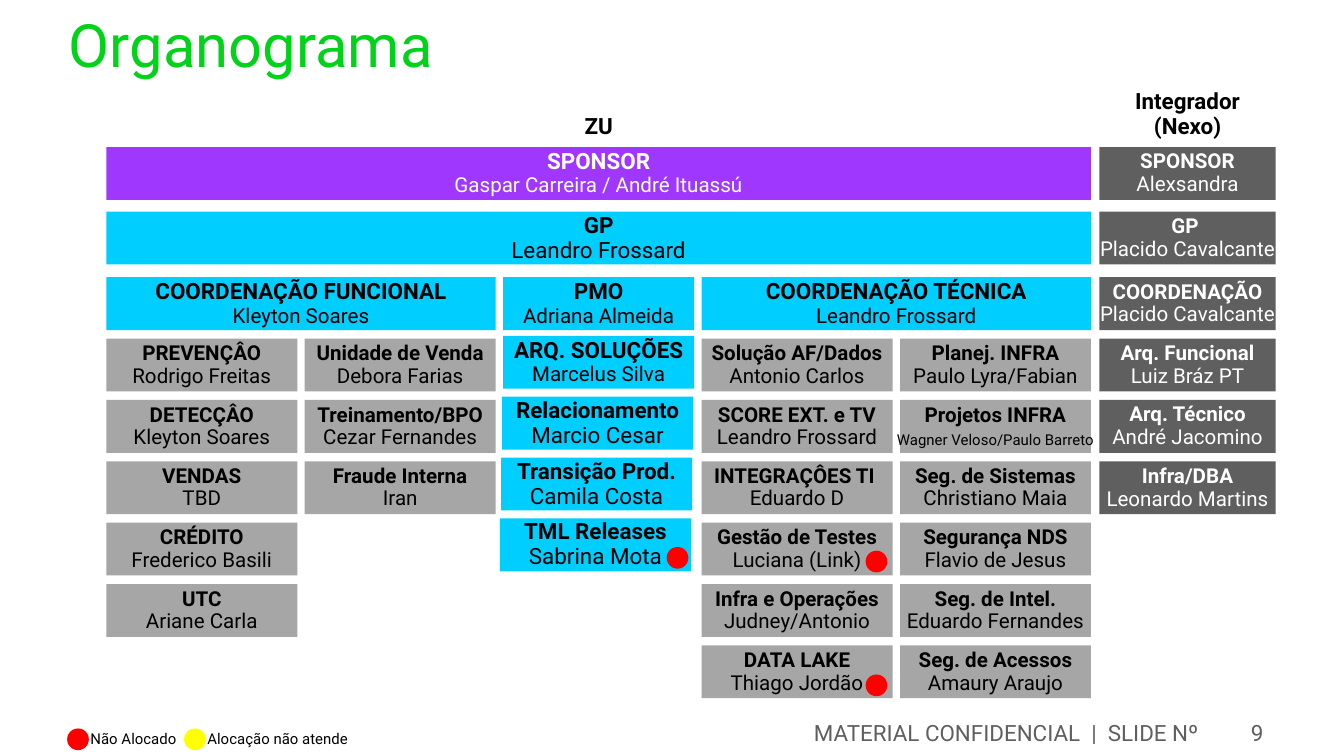
from pptx import Presentation
from pptx import util as u
from pptx.dml.color import RGBColor
from pptx.enum import shapes, text

BLACK, WHITE = "000000", "FFFFFF"
PURPLE, CYAN, GREY, DARK = "9F37FE", "00CEFF", "A6A6A6", "5F5F5F"
GREEN, RED, YELLOW = "00D318", "FF0000", "FFFF00"

LEFT, COLUMN_STEP = 2.01, 3.75
BOX_WIDTH, BOX_HEIGHT = 3.61, 1.0
PARTNER_LEFT, PARTNER_WIDTH = 20.78, 3.33
SPONSOR_TOP, MANAGER_TOP, COORDINATION_TOP = 2.78, 4.0, 5.24
TEAM_TOP, TEAM_STEP = 6.4, 1.16
OFFICE_TOP, OFFICE_STEP = 6.35, 1.15
DOT = 0.41


def color(value):
    return RGBColor.from_string(value)


def column_left(column):
    return LEFT + column * COLUMN_STEP


def span_width(columns):
    return (columns - 1) * COLUMN_STEP + BOX_WIDTH


class Chart:
    """Style and drawing methods for the organisation chart."""

    font = "Roboto"
    tight = 0.93

    def __init__(self, page):
        self.page = page

    def area(self, left, top, width, height):
        return [u.Cm(value) for value in (left, top, width, height)]

    def frame(self, box, margin_x, margin_y, anchor=text.MSO_ANCHOR.MIDDLE, wrap=False):
        frame = box.text_frame
        frame.word_wrap = wrap
        frame.vertical_anchor = anchor
        frame.margin_left = frame.margin_right = u.Cm(margin_x)
        frame.margin_top = frame.margin_bottom = u.Cm(margin_y)
        return frame

    def add_words(self, para, words, size, ink, bold=False,
                  align=text.PP_ALIGN.CENTER, spacing=None):
        para.alignment = align
        para.line_spacing = spacing
        span = para.add_run()
        span.text = words
        span.font.name = self.font
        span.font.size = u.Pt(size)
        span.font.bold = bold
        span.font.color.rgb = color(ink)

    def title(self, words):
        box = self.page.shapes.title
        box.left, box.top, box.width, box.height = self.area(1.3, 0.15, 22.8, 1.98)
        frame = self.frame(box, 0, 0, text.MSO_ANCHOR.TOP, wrap=True)
        self.add_words(frame.paragraphs[0], words, 32, GREEN, align=text.PP_ALIGN.LEFT)

    def heading(self, words, left, width):
        box = self.page.shapes.add_textbox(*self.area(left, 1.96, width, 0.81))
        frame = self.frame(box, 0.1, 0.13, text.MSO_ANCHOR.BOTTOM)
        self.add_words(frame.paragraphs[0], words, 12, BLACK, True, spacing=self.tight)

    def footer(self, words, left, width):
        box = self.page.shapes.add_textbox(*self.area(left, 13.54, width, 0.61))
        frame = self.frame(box, 0.25, 0.13, wrap=True)
        self.add_words(frame.paragraphs[0], words, 12, DARK, align=text.PP_ALIGN.RIGHT)

    def shape(self, kind, area, fill):
        shape = self.page.shapes.add_shape(kind, *self.area(*area))
        shape.shadow.inherit = False
        shape.fill.solid()
        shape.fill.fore_color.rgb = color(fill)
        shape.line.fill.background()
        return shape

    def role(self, role, person, left, top, width, fill, ink, sizes,
             margin_y=0.13, spacing=tight):
        """Box with a bold role above the person's name."""
        box = self.shape(shapes.MSO_SHAPE.RECTANGLE, (left, top, width, BOX_HEIGHT), fill)
        frame = self.frame(box, 0.1, margin_y)
        self.add_words(frame.paragraphs[0], role, sizes[0], ink, True, spacing=spacing)
        self.add_words(frame.add_paragraph(), person, sizes[1], ink, spacing=spacing)

    def member(self, role, person, column, row):
        size = 8 if len(person) > 20 else 11
        self.role(role, person, column_left(column), TEAM_TOP + row * TEAM_STEP,
                  BOX_WIDTH, GREY, BLACK, (11, size), 0, u.Pt(12))

    def dot(self, left, top, fill):
        self.shape(shapes.MSO_SHAPE.OVAL, (left, top, DOT, DOT), fill)

    def legend(self, words, left, fill):
        self.dot(left, 13.77, fill)
        box = self.page.shapes.add_textbox(*self.area(left + 0.34, 13.68, 3, 0.6))
        frame = self.frame(box, 0.1, 0)
        self.add_words(frame.paragraphs[0], words, 8, BLACK,
                       align=text.PP_ALIGN.LEFT, spacing=self.tight)


LEADERS = [  # role, person, first column, columns, top, fill, ink, name size
    ("SPONSOR", "Gaspar Carreira / André Ituassú", 0, 5, SPONSOR_TOP, PURPLE, WHITE, 11),
    ("GP", "Leandro Frossard", 0, 5, MANAGER_TOP, CYAN, BLACK, 12),
    ("COORDENAÇÃO FUNCIONAL", "Kleyton Soares", 0, 2, COORDINATION_TOP, CYAN, BLACK, 11),
    ("PMO", "Adriana Almeida", 2, 1, COORDINATION_TOP, CYAN, BLACK, 11),
    ("COORDENAÇÃO TÉCNICA", "Leandro Frossard", 3, 2, COORDINATION_TOP, CYAN, BLACK, 11),
]
OFFICE = [
    ("ARQ. SOLUÇÕES", "Marcelus Silva", 11),
    ("Relacionamento", "Marcio Cesar", 12),
    ("Transição Prod.", "Camila Costa", 12),
    ("TML Releases", "Sabrina Mota", 12),
]
TEAMS = {
    0: [("PREVENÇÂO", "Rodrigo Freitas"), ("DETECÇÂO", "Kleyton Soares"),
        ("VENDAS", "TBD"), ("CRÉDITO", "Frederico Basili"), ("UTC", "Ariane Carla")],
    1: [("Unidade de Venda", "Debora Farias"), ("Treinamento/BPO", "Cezar Fernandes"),
        ("Fraude Interna", "Iran")],
    3: [("Solução AF/Dados", "Antonio Carlos"), ("SCORE EXT. e TV", "Leandro Frossard"),
        ("INTEGRAÇÔES TI ", "Eduardo D"), ("Gestão de Testes", "Luciana (Link)"),
        ("Infra e Operações", "Judney/Antonio"), ("DATA LAKE", "Thiago Jordão")],
    4: [("Planej. INFRA", "Paulo Lyra/Fabian"),
        ("Projetos INFRA", "Wagner Veloso/Paulo Barreto"),
        ("Seg. de Sistemas", "Christiano Maia"), ("Segurança NDS", "Flavio de Jesus"),
        ("Seg. de Intel.", "Eduardo Fernandes"), ("Seg. de Acessos", "Amaury Araujo")],
}
PARTNER = [
    ("SPONSOR", "Alexsandra", SPONSOR_TOP),
    ("GP ", "Placido Cavalcante", MANAGER_TOP),
    ("COORDENAÇÃO", "Placido Cavalcante", COORDINATION_TOP),
    ("Arq. Funcional", "Luiz Bráz PT", TEAM_TOP),
    ("Arq. Técnico", "André Jacomino", TEAM_TOP + TEAM_STEP),
    ("Infra/DBA", "Leonardo Martins", TEAM_TOP + 2 * TEAM_STEP),
]


def main():
    deck = Presentation()
    deck.slide_width, deck.slide_height = u.Cm(25.4), u.Cm(14.29)
    chart = Chart(deck.slides.add_slide(deck.slide_layouts[5]))

    chart.title("Organograma")
    chart.heading("ZU", LEFT, span_width(5))
    chart.heading("Integrador (Nexo)", PARTNER_LEFT, PARTNER_WIDTH)

    for role, person, column, columns, top, fill, ink, size in LEADERS:
        chart.role(role, person, column_left(column), top, span_width(columns),
                   fill, ink, (12, size))
    for row, (role, person, size) in enumerate(OFFICE):
        chart.role(role, person, column_left(2) - 0.02 * row,
                   OFFICE_TOP + row * OFFICE_STEP, BOX_WIDTH, CYAN, BLACK, (12, size))
    for column, members in TEAMS.items():
        for row, (role, person) in enumerate(members):
            chart.member(role, person, column, row)
    for role, person, top in PARTNER:
        chart.role(role, person, PARTNER_LEFT, top, PARTNER_WIDTH, DARK, WHITE, (11, 11))

    for left, top in [(12.6, 10.34), (16.36, 10.41), (16.36, 12.75)]:
        chart.dot(left, top, RED)
    chart.legend("Não Alocado", 1.27, RED)
    chart.legend("Alocação não atende", 3.48, YELLOW)
    chart.footer("MATERIAL CONFIDENCIAL  |  SLIDE Nº", 1.27, 21.64)
    chart.footer("9", 22.91, 1.22)

    deck.save("out.pptx")


if __name__ == "__main__":
    main()
